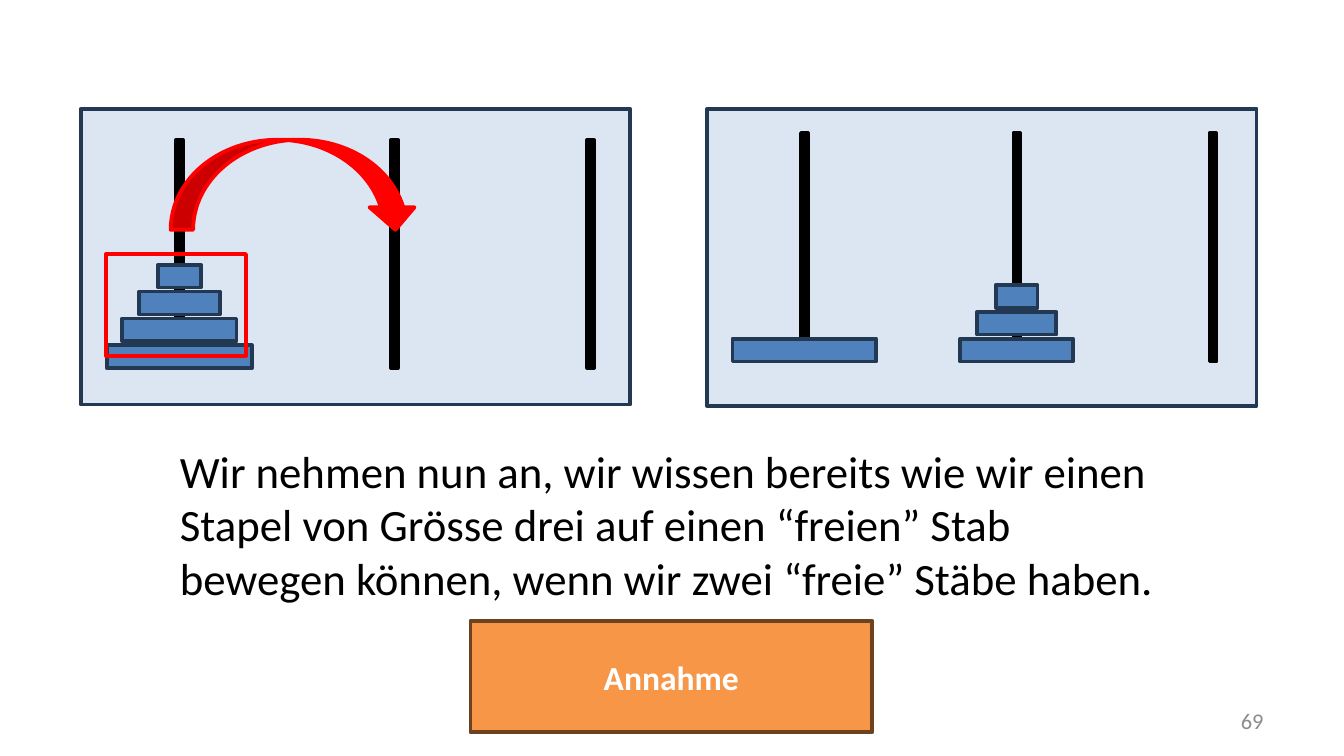
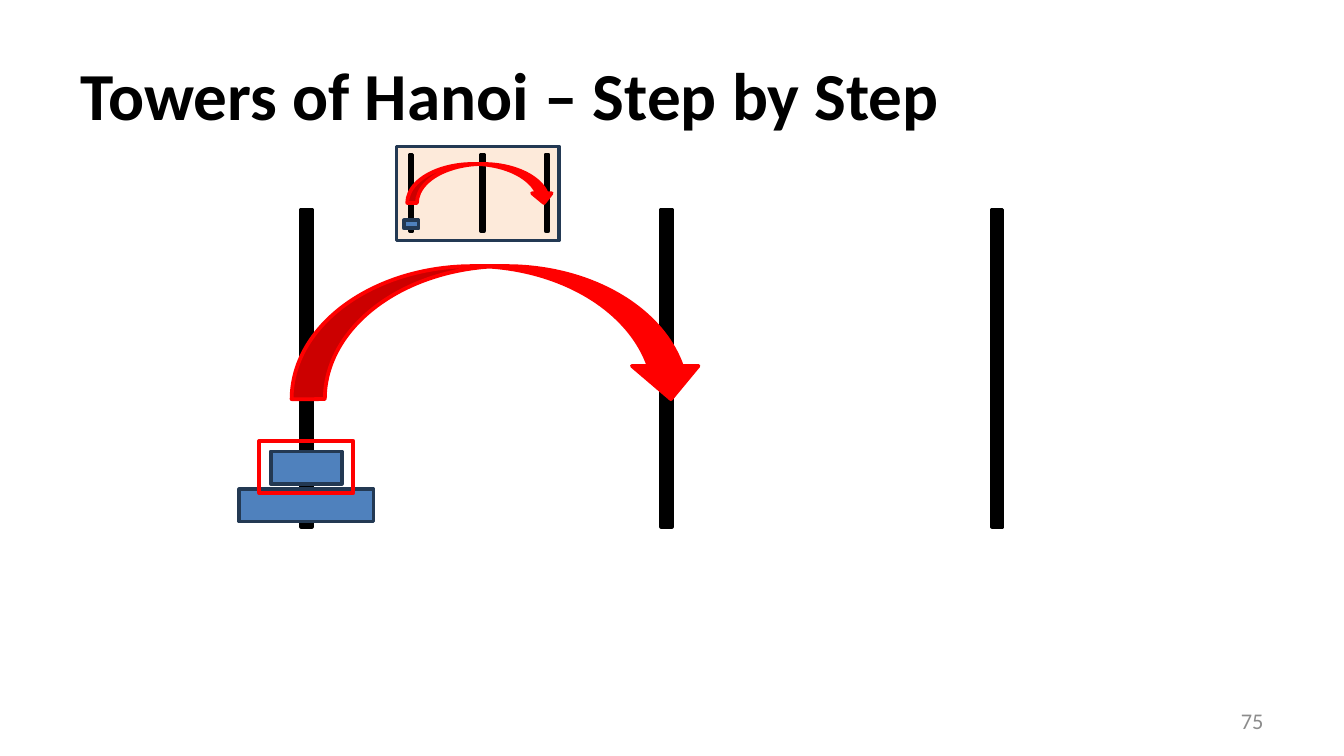
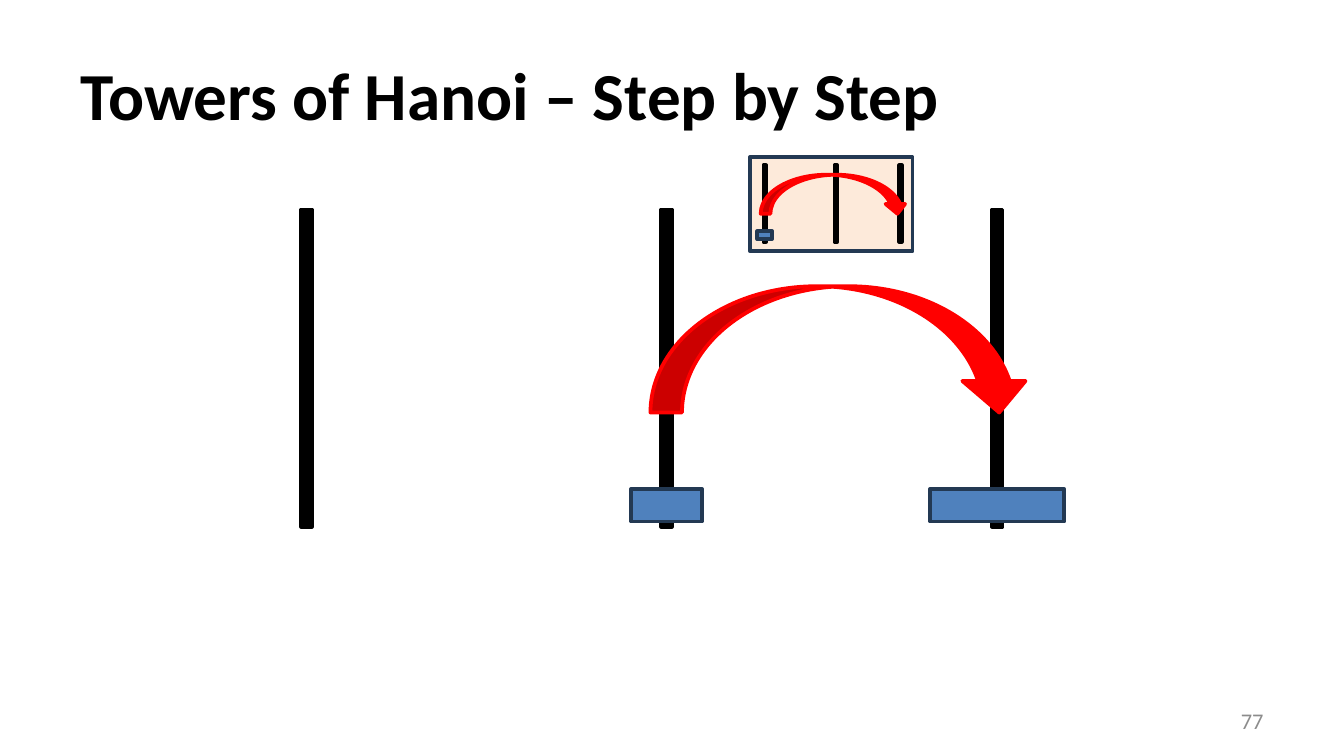
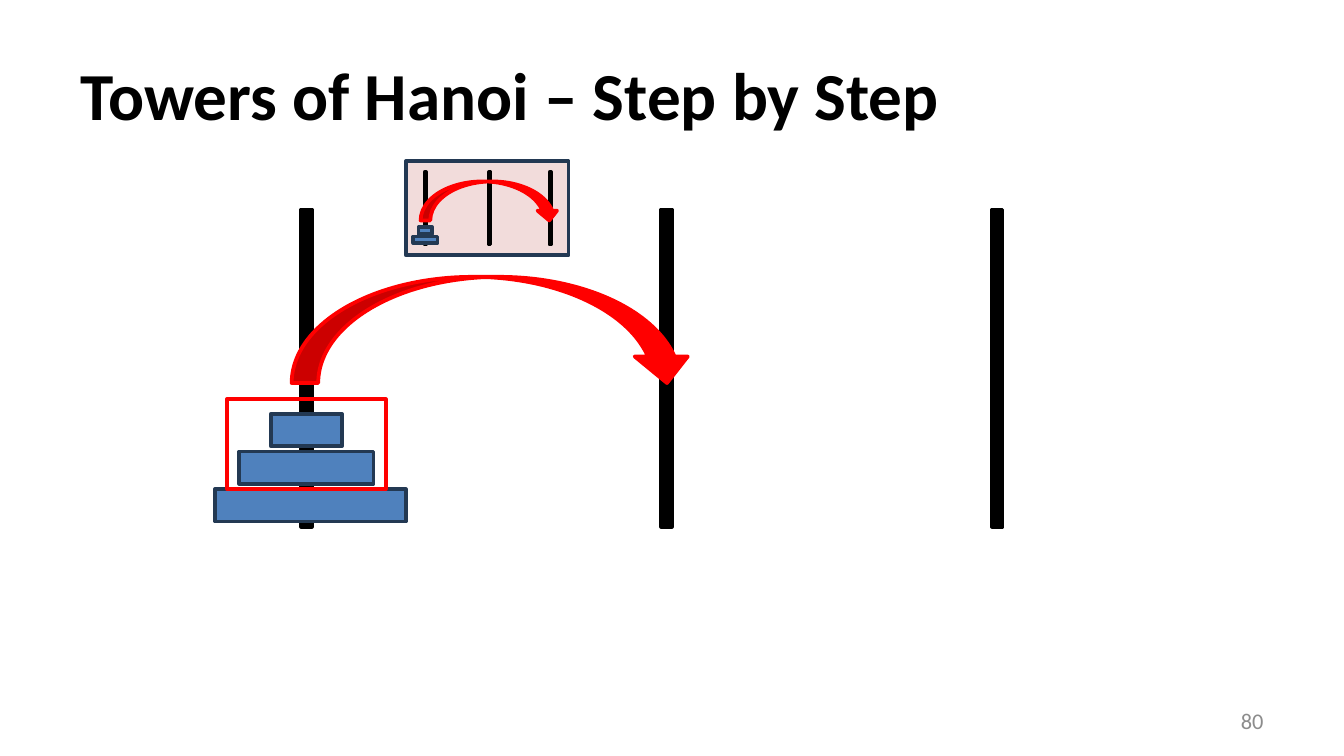
from dataclasses import dataclass, field, replace

from pptx import Presentation
from pptx.dml.color import RGBColor
from pptx.enum.shapes import MSO_SHAPE
from pptx.enum.text import MSO_ANCHOR, MSO_AUTO_SIZE, PP_ALIGN
from pptx.util import Pt

RECT = MSO_SHAPE.RECTANGLE
ARC = MSO_SHAPE.CURVED_DOWN_ARROW
MIDDLE, TOP = MSO_ANCHOR.MIDDLE, MSO_ANCHOR.TOP
LEFT, CENTER, RIGHT = PP_ALIGN.LEFT, PP_ALIGN.CENTER, PP_ALIGN.RIGHT
GROW = MSO_AUTO_SIZE.SHAPE_TO_FIT_TEXT

EMU_PER_PX = 9144
SLIDE_WIDTH = 1000
SLIDE_RATIO = (16, 9)
TITLE_ONLY, BLANK = 5, 6


@dataclass(frozen=True)
class Theme:
    font: str = "Calibri"
    title_size: int = 36
    body_size: int = 24
    label_size: int = 18
    number_size: int = 12
    line_width: int = 2
    ink: str = "000000"
    white: str = "FFFFFF"
    muted: str = "8C8C8C"
    disk: str = "4F81BD"
    outline: str = "233953"
    move: str = "FF0000"
    blue_panel: str = "DCE6F2"
    orange_panel: str = "FDEADA"
    red_panel: str = "F2DCDB"
    label: str = "F79646"
    label_outline: str = "6C421F"


THEME = Theme()


@dataclass(frozen=True)
class Disk:
    width: int
    shift: int = 0


@dataclass(frozen=True)
class Board:
    rods: tuple
    rod_top: int
    rod_size: tuple
    disk_height: int
    disk_step: int
    disk_floor: int
    stacks: dict = field(default_factory=dict)
    origin: tuple = (0, 0)
    panel_size: tuple = ()
    panel_fill: str = ""
    frame: tuple = ()
    arrow: tuple = ()


TITLE_BOX = (50, 23, 900, 94)
NUMBER_BOX = (717, 521, 233, 30)
ASSUMPTION_BOX = (124, 325, 752, 131)
LABEL_BOX = (350, 462, 299, 83)

STEP_TITLE = "Towers of Hanoi – Step by Step"
ASSUMPTION = (
    "Wir nehmen nun an, wir wissen bereits wie wir einen Stapel von Grösse "
    "drei auf einen “freien” Stab bewegen können, wenn wir zwei “freie” "
    "Stäbe haben."
)
ASSUMPTION_LABEL = "Annahme"

FOUR_DISKS = Board(
    rods=(71, 231, 377), rod_top=23, rod_size=(5, 170),
    disk_height=17, disk_step=20, disk_floor=193,
    stacks={0: [Disk(108), Disk(85), Disk(60), Disk(32)]},
    origin=(60, 81), panel_size=(409, 220), panel_fill=THEME.blue_panel,
    frame=(19, 108, 104, 76), arrow=(67, 23, 184, 67),
)
THREE_MOVED = replace(
    FOUR_DISKS, rods=(70, 228, 374), rod_top=18, disk_floor=188,
    stacks={0: [Disk(107)], 1: [Disk(84), Disk(59), Disk(31)]},
    origin=(526, 81), panel_size=(409, 221), frame=(), arrow=(),
)
LARGE = Board(
    rods=(224, 492, 738), rod_top=156, rod_size=(8, 236),
    disk_height=24, disk_step=28, disk_floor=388,
)
ONE_DISK_HINT = Board(
    rods=(10, 63, 111), rod_top=6, rod_size=(2, 57),
    disk_height=6, disk_step=7, disk_floor=61, stacks={0: [Disk(11)]},
    origin=(295, 109), panel_size=(121, 70), panel_fill=THEME.orange_panel,
    arrow=(8, 13, 109, 29),
)
TWO_DISK_HINT = replace(
    ONE_DISK_HINT, rods=(14, 62, 107), rod_top=8, rod_size=(1, 54),
    disk_height=5, stacks={0: [Disk(18), Disk(10)]},
    origin=(302, 120), panel_fill=THEME.red_panel, arrow=(11, 15, 103, 29),
)

SLIDES = [
    {
        "number": 69,
        "boards": [FOUR_DISKS, THREE_MOVED],
        "assumption": ASSUMPTION,
        "label": ASSUMPTION_LABEL,
    },
    {
        "number": 75,
        "title": STEP_TITLE,
        "boards": [
            replace(LARGE, stacks={0: [Disk(100), Disk(53)]},
                    frame=(193, 328, 70, 39), arrow=(217, 198, 307, 99)),
            ONE_DISK_HINT,
        ],
    },
    {
        "number": 77,
        "title": STEP_TITLE,
        "boards": [
            replace(LARGE, stacks={1: [Disk(53)], 2: [Disk(100)]},
                    arrow=(484, 213, 283, 94)),
            replace(ONE_DISK_HINT, origin=(558, 117)),
        ],
    },
    {
        "number": 80,
        "title": STEP_TITLE,
        "boards": [
            replace(LARGE, stacks={0: [Disk(142, 3), Disk(100), Disk(53)]},
                    frame=(169, 297, 118, 67), arrow=(217, 206, 299, 79)),
            TWO_DISK_HINT,
        ],
    },
]


def emu(lengths):
    return [round(length * EMU_PER_PX) for length in lengths]


def add_solid(shapes, kind, box, fill, outline):
    solid = shapes.add_shape(kind, *emu(box))
    solid.shadow.inherit = False
    if fill:
        solid.fill.solid()
        solid.fill.fore_color.rgb = RGBColor.from_string(fill)
    else:
        solid.fill.background()
    solid.line.color.rgb = RGBColor.from_string(outline)
    solid.line.width = Pt(THEME.line_width)
    return solid


def write(holder, text, size, color, align=LEFT, anchor=TOP, bold=False):
    frame = holder.text_frame
    frame.text = text
    frame.word_wrap = True
    frame.vertical_anchor = anchor
    paragraph = frame.paragraphs[0]
    paragraph.alignment = align
    for run in paragraph.runs:
        run.font.name = THEME.font
        run.font.size = Pt(size)
        run.font.bold = bold
        run.font.color.rgb = RGBColor.from_string(color)


def draw_board(slide, board):
    shapes = slide.shapes
    if board.panel_size:
        shapes = shapes.add_group_shape().shapes
    left, top = board.origin

    def place(box, fill, outline, kind=RECT):
        x, y, width, height = box
        add_solid(shapes, kind, (left + x, top + y, width, height), fill, outline)

    if board.panel_size:
        place((0, 0, *board.panel_size), board.panel_fill, THEME.outline)
    for rod in board.rods:
        place((rod, board.rod_top, *board.rod_size), THEME.ink, THEME.ink)
    for rod_index, disks in board.stacks.items():
        center = board.rods[rod_index] + board.rod_size[0] / 2
        for level, disk in enumerate(disks):
            disk_left = center + disk.shift - disk.width / 2
            disk_top = board.disk_floor - board.disk_height - level * board.disk_step
            place((disk_left, disk_top, disk.width, board.disk_height),
                  THEME.disk, THEME.outline)
    if board.frame:
        place(board.frame, None, THEME.move)
    if board.arrow:
        place(board.arrow, THEME.move, THEME.move, ARC)


def add_title(slide, text):
    title = slide.shapes.title
    title.left, title.top, title.width, title.height = emu(TITLE_BOX)
    write(title, text, THEME.title_size, THEME.ink, anchor=MIDDLE, bold=True)


def add_number(slide, number):
    holder = slide.shapes.add_textbox(*emu(NUMBER_BOX))
    write(holder, str(number), THEME.number_size, THEME.muted, RIGHT, MIDDLE)


def add_assumption(slide, text, label):
    statement = slide.shapes.add_textbox(*emu(ASSUMPTION_BOX))
    write(statement, text, THEME.body_size, THEME.ink)
    statement.text_frame.auto_size = GROW
    badge = add_solid(slide.shapes, RECT, LABEL_BOX, THEME.label, THEME.label_outline)
    write(badge, label, THEME.label_size, THEME.white, CENTER, MIDDLE, bold=True)


def main():
    deck = Presentation()
    across, down = SLIDE_RATIO
    deck.slide_width, deck.slide_height = emu((SLIDE_WIDTH, SLIDE_WIDTH * down / across))
    for content in SLIDES:
        layout = TITLE_ONLY if "title" in content else BLANK
        slide = deck.slides.add_slide(deck.slide_layouts[layout])
        if "title" in content:
            add_title(slide, content["title"])
        add_number(slide, content["number"])
        for board in content["boards"]:
            draw_board(slide, board)
        if "assumption" in content:
            add_assumption(slide, content["assumption"], content["label"])
    deck.save("out.pptx")


if __name__ == "__main__":
    main()
